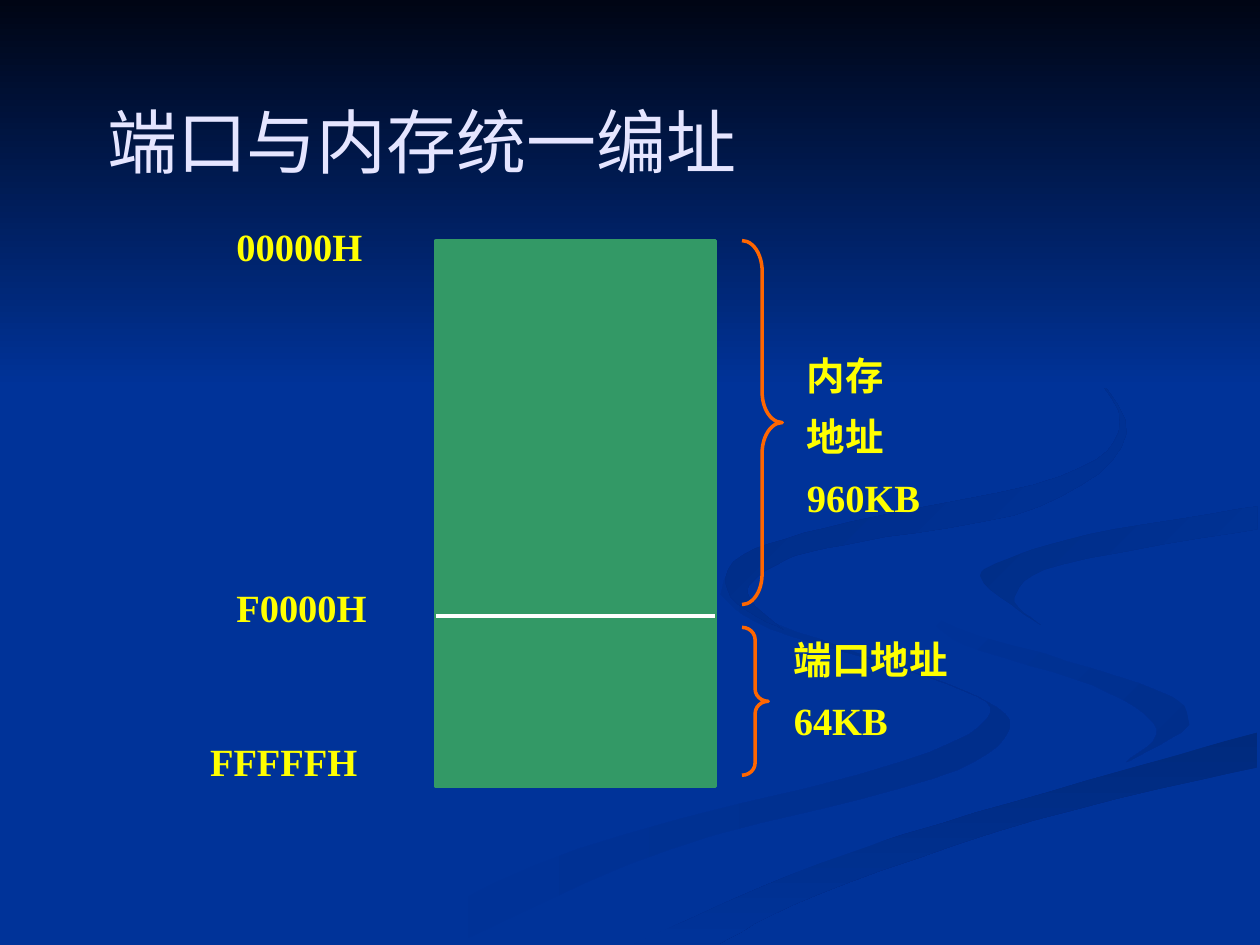
from lxml import etree
from pptx import Presentation
from pptx.dml.color import RGBColor
from pptx.enum.shapes import MSO_CONNECTOR, MSO_SHAPE
from pptx.enum.text import MSO_ANCHOR, MSO_AUTO_SIZE, PP_ALIGN
from pptx.oxml.ns import qn
from pptx.util import Pt

RECT = MSO_SHAPE.RECTANGLE
BRACE = MSO_SHAPE.RIGHT_BRACE
LINE = MSO_CONNECTOR.STRAIGHT
LEFT = PP_ALIGN.LEFT
TOP, BOTTOM = MSO_ANCHOR.TOP, MSO_ANCHOR.BOTTOM
FIXED, GROW = MSO_AUTO_SIZE.NONE, MSO_AUTO_SIZE.SHAPE_TO_FIT_TEXT


class Theme:
    back = "003399"
    night = "000514"
    block = "339966"
    rule = "FFFFFF"
    brace = "FF6600"
    label = "FFFF00"
    title = "E5E5FF"
    shade = "002E8B"
    deep = "002A7D"
    bend = "002D86"
    swirl = "002B82"
    latin = "Times New Roman"
    asian = "Noto Sans CJK JP"
    big = Pt(40)
    small = Pt(22)
    stroke = Pt(2)


def paint(shape, first, last, angle):
    shape.shadow.inherit = False
    shape.line.fill.background()
    if first == last:
        shape.fill.solid()
        shape.fill.fore_color.rgb = RGBColor.from_string(first)
        return
    shape.fill.gradient()
    shape.fill.gradient_angle = -angle % 360
    for stop, color in zip(shape.fill.gradient_stops, (first, last)):
        stop.color.rgb = RGBColor.from_string(color)


def write(frame, lines, size, color, face, bold):
    frame.word_wrap = True
    frame.text = "\n".join(lines)
    for par in frame.paragraphs:
        par.alignment = LEFT
        font = par.font
        font.size, font.bold, font.name = size, bold, face
        font.color.rgb = RGBColor.from_string(color)
        etree.SubElement(font._rPr, qn("a:ea"), typeface=Theme.asian)


deck = Presentation()
deck.slide_width, deck.slide_height = Pt(720), Pt(540)
slide = deck.slides.add_slide(deck.slide_layouts[5])
shapes = slide.shapes
slide.background.fill.solid()
slide.background.fill.fore_color.rgb = RGBColor.from_string(Theme.back)

ribbons = [
    (Theme.back, Theme.shade, 0, [
        [(575, 459), (594, 485), (682, 519), (776, 553), (800, 581),
         (740, 618), (532, 674), (361, 749)],
        [(300, 749), (458, 674), (714, 605), (786, 566), (741, 539),
         (611, 499), (572, 472)]]),
    (Theme.back, Theme.shade, 45, [
        [(724, 464), (745, 490), (830, 519), (930, 553), (943, 576), (894, 605)],
        [(894, 605), (918, 578), (868, 544), (766, 512), (730, 483)]]),
    (Theme.deep, Theme.back, 90, [
        [(503, 749), (662, 681), (831, 629), (998, 581)],
        [(998, 609), (821, 651), (649, 710), (571, 749)]]),
    (Theme.back, Theme.back, 0, [
        [(477, 749), (663, 668), (911, 600), (943, 570), (905, 540),
         (759, 498), (725, 464), (755, 432), (874, 408), (999, 387)],
        [(999, 402), (850, 427), (781, 463), (832, 498), (999, 538)],
        [(999, 581), (765, 647), (630, 693), (503, 749)]]),
    (Theme.bend, Theme.back, 45, [
        [(998, 402), (865, 424), (791, 447), (781, 463), (826, 496)],
        [(826, 496), (805, 474), (843, 448), (998, 420)]]),
    (Theme.swirl, Theme.back, 45, [
        [(762, 233), (846, 279), (889, 335), (842, 378), (676, 414),
         (589, 441), (580, 474), (622, 500)],
        [(622, 500), (593, 470), (624, 444), (683, 430), (825, 402),
         (894, 344), (843, 275), (762, 233)]]),
]
steps = 6
for first, last, angle, edges in ribbons:
    spots = []
    for edge in edges:
        ends = [edge[0], *edge, edge[-1]]
        for quad in zip(ends, ends[1:], ends[2:], ends[3:]):
            for step in range(steps):
                t = step / steps
                spots.append(tuple(
                    b + t * (c - a) / 2
                    + t**2 * (2 * a - 5 * b + 4 * c - d) / 2
                    + t**3 * (3 * b - a - 3 * c + d) / 2
                    for a, b, c, d in zip(*quad)))
        spots.append(edge[-1])
    path = shapes.build_freeform(*spots[0], scale=Pt(0.72))
    path.add_line_segments(spots[1:], close=True)
    paint(path.convert_to_shape(), first, last, angle)

sky = shapes.add_shape(RECT, 0, 0, Pt(720), Pt(221.75))
paint(sky, Theme.night, Theme.back, 90)

block = shapes.add_shape(RECT, Pt(249.25), Pt(137.5), Pt(159.5), Pt(312))
paint(block, Theme.block, Theme.block, 0)
block.line.color.rgb = RGBColor.from_string(Theme.block)
block.line.width = Theme.stroke

rule = shapes.add_connector(LINE, Pt(249.25), Pt(352), Pt(408.75), Pt(352))
rule.line.color.rgb = RGBColor.from_string(Theme.rule)
rule.line.width = Theme.stroke
etree.SubElement(rule._element.spPr, qn("a:effectLst"))

for top, width, height, bend in [(137.5, 23, 208, 0.76), (358.5, 15, 84.5, 0.47)]:
    brace = shapes.add_shape(BRACE, Pt(424), Pt(top), Pt(width), Pt(height))
    brace.adjustments[0] = bend
    brace.shadow.inherit = False
    brace.fill.background()
    brace.line.color.rgb = RGBColor.from_string(Theme.brace)
    brace.line.width = Theme.stroke

labels = [
    (454, 202.5, 129, 98, ["内存", "地址", "960KB"]),
    (446.5, 365, 129, 63.5, ["端口地址", "64KB"]),
    (128, 129, 122.5, 29, ["00000H"]),
    (128, 335, 129.5, 29, ["F0000H"]),
    (113, 423.5, 144.5, 29, ["FFFFFH"]),
]
for left, top, width, height, lines in labels:
    label = shapes.add_textbox(Pt(left), Pt(top), Pt(width), Pt(height))
    frame = label.text_frame
    write(frame, lines, Theme.small, Theme.label, Theme.latin, True)
    frame.vertical_anchor = TOP
    frame.auto_size = GROW
    for par in frame.paragraphs:
        par.line_spacing = 0.8
    for par in frame.paragraphs[1:]:
        par.space_before = Pt(13.8)

title = shapes.title
title.left, title.top, title.width, title.height = Pt(54), Pt(33), Pt(612), Pt(75)
write(title.text_frame, ["端口与内存统一编址"], Theme.big, Theme.title, Theme.asian, False)
title.text_frame.vertical_anchor = BOTTOM
title.text_frame.auto_size = FIXED
shapes._spTree.append(title._element)

deck.save("out.pptx")
